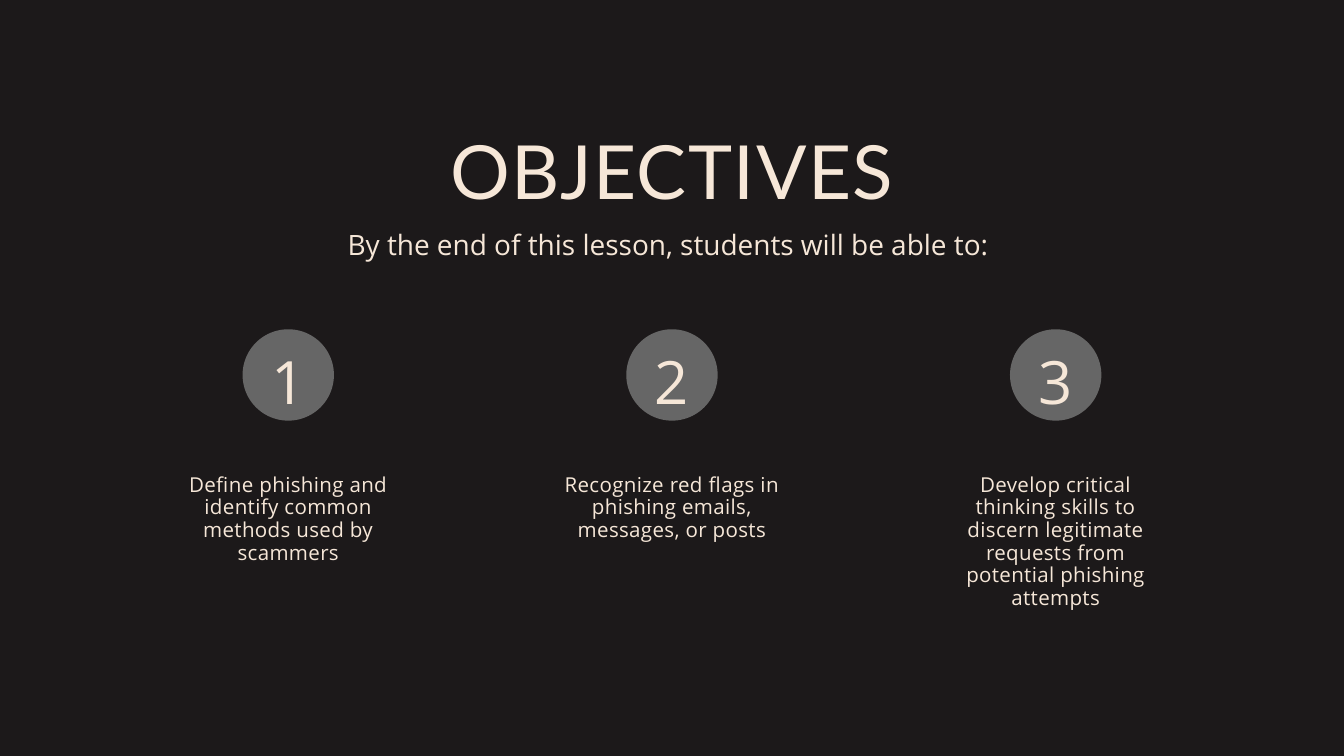
from pptx import Presentation
from pptx.dml.color import RGBColor
from pptx.enum.shapes import MSO_SHAPE
from pptx.enum.text import MSO_ANCHOR, MSO_AUTO_SIZE, PP_ALIGN
from pptx.util import Inches, Pt

OVAL = MSO_SHAPE.OVAL
TOP = MSO_ANCHOR.TOP
NO_AUTOFIT = MSO_AUTO_SIZE.NONE
CENTER = PP_ALIGN.CENTER

BACKGROUND = RGBColor(0x1C, 0x19, 0x1A)
CREAM = RGBColor(0xF6, 0xE7, 0xD8)
GRAY = RGBColor(0x66, 0x66, 0x66)

TITLE = "OBJECTIVES"
SUBTITLE = "By the end of this lesson, students will be able to: "
OBJECTIVES = [
    "Define phishing and identify common methods used by scammers",
    "Recognize red flags in phishing emails, messages, or posts",
    "Develop critical thinking skills to discern legitimate requests "
    "from potential phishing attempts",
]

SLIDE_WIDTH, SLIDE_HEIGHT = 20, 11.25
COLUMN_STEP = 5.71
CIRCLE_SIZE = 1.36
CIRCLE_TOP = 4.9
NUMBER_TOP = 4.8
NUMBER_HEIGHT = 1.31
OBJECTIVE_TOP = 7.05
OBJECTIVE_WIDTH = 3.27
OBJECTIVE_HEIGHT = 2.01


def place(shape, center, top, width, height):
    shape.left, shape.top = Inches(center - width / 2), Inches(top)
    shape.width, shape.height = Inches(width), Inches(height)


def write(shape, text, size, line_spacing, letter_spacing=0, font_name="Open Sans"):
    frame = shape.text_frame
    frame.text = text
    frame.word_wrap = True
    frame.auto_size = NO_AUTOFIT
    frame.vertical_anchor = TOP
    frame.margin_left = frame.margin_right = 0
    frame.margin_top = frame.margin_bottom = 0
    paragraph = frame.paragraphs[0]
    paragraph.alignment = CENTER
    paragraph.line_spacing = Pt(line_spacing)
    font = paragraph.runs[0].font
    font.name = font_name
    font.size = Pt(size)
    font.color.rgb = CREAM
    font._element.set("spc", str(round(letter_spacing * 100)))


def add_text(slide, box, *style):
    shape = slide.shapes.add_textbox(0, 0, 0, 0)
    place(shape, *box)
    write(shape, *style)


def add_circle(slide, center):
    circle = slide.shapes.add_shape(OVAL, 0, 0, 0, 0)
    place(circle, center, CIRCLE_TOP, CIRCLE_SIZE, CIRCLE_SIZE)
    circle.shadow.inherit = False
    circle.fill.solid()
    circle.fill.fore_color.rgb = GRAY
    circle.line.fill.background()


def main():
    presentation = Presentation()
    presentation.slide_width = Inches(SLIDE_WIDTH)
    presentation.slide_height = Inches(SLIDE_HEIGHT)
    slide = presentation.slides.add_slide(presentation.slide_layouts[5])
    slide.background.fill.solid()
    slide.background.fill.fore_color.rgb = BACKGROUND

    middle = SLIDE_WIDTH / 2
    title = slide.shapes.title
    place(title, middle, 1.85, 11.88, 1.35)
    write(title, TITLE, 80, 96, 1.6, "Lato")
    add_text(slide, (middle, 3.3, 10.63, 0.56), SUBTITLE, 30, 42)

    first_center = middle - COLUMN_STEP * (len(OBJECTIVES) - 1) / 2
    for index, objective in enumerate(OBJECTIVES):
        center = first_center + index * COLUMN_STEP
        add_circle(slide, center)
        add_text(slide, (center, NUMBER_TOP, CIRCLE_SIZE, NUMBER_HEIGHT),
                 str(index + 1), 64, 100.5, 3.2)
        add_text(slide, (center, OBJECTIVE_TOP, OBJECTIVE_WIDTH, OBJECTIVE_HEIGHT),
                 objective, 22, 24.2, 0.4)

    presentation.save("out.pptx")


if __name__ == "__main__":
    main()
